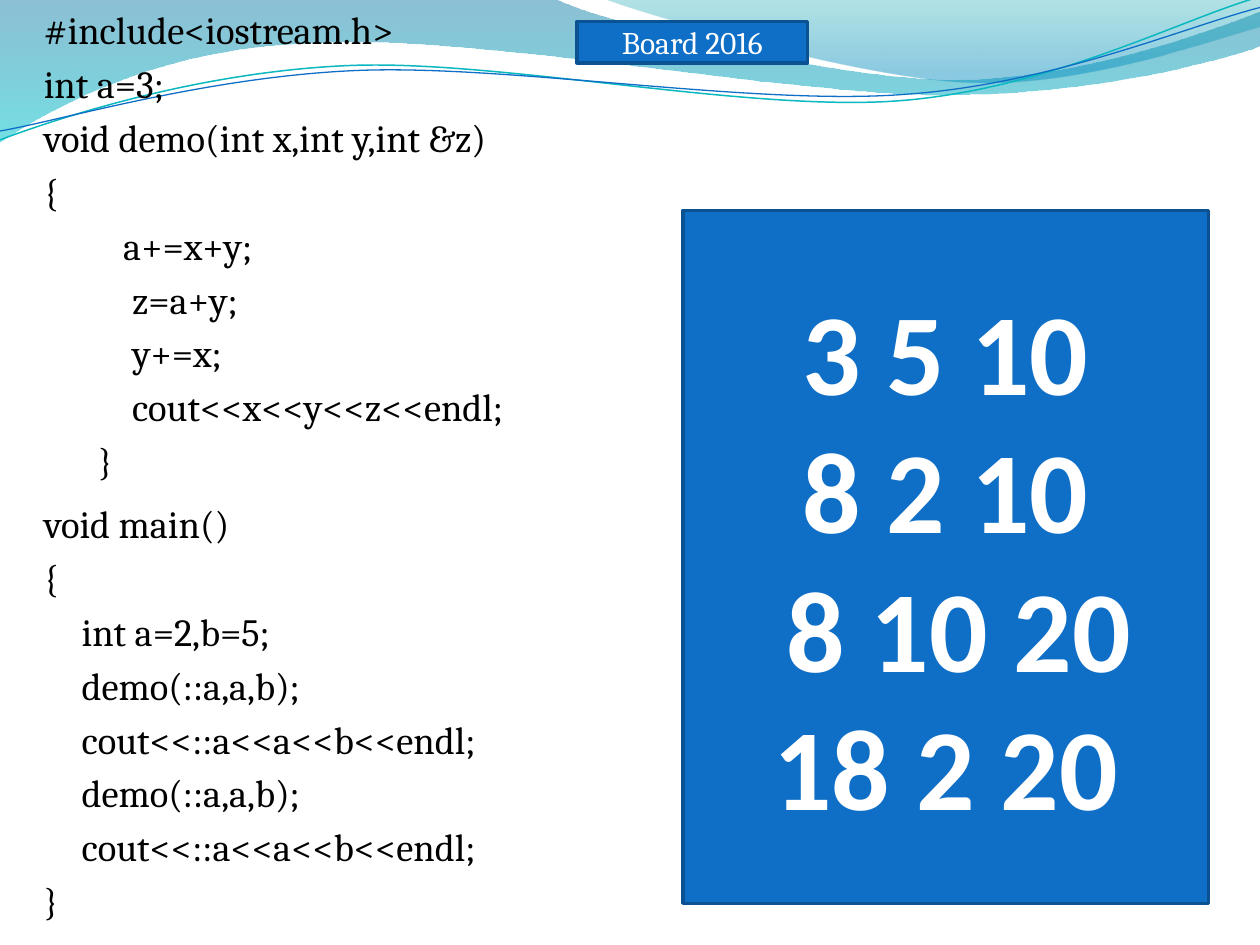
import math
from dataclasses import dataclass

from lxml import etree
from pptx import Presentation
from pptx.dml.color import RGBColor
from pptx.enum.shapes import MSO_SHAPE
from pptx.enum.text import MSO_ANCHOR, PP_ALIGN
from pptx.oxml.ns import qn
from pptx.util import Inches, Pt

RECTANGLE = MSO_SHAPE.RECTANGLE
MIDDLE = MSO_ANCHOR.MIDDLE
CENTER = PP_ALIGN.CENTER


@dataclass(frozen=True)
class Theme:
    code_font: str = "Cambria"
    answer_font: str = "Calibri"
    code_size: float = 22
    tag_size: float = 18
    answer_size: float = 66
    code_spacing: float = 4.4
    border_width: float = 2
    ink: str = "000000"
    white: str = "FFFFFF"
    blue: str = "0F6FC6"
    dark_blue: str = "0B5292"
    teal: str = "0AB8BF"
    # Gradient stops: position, colour, opacity in percent
    wide_wave: tuple = ((0, "0074A1", 45), (1, "00C6CF", 55))
    right_wave: tuple = ((0, "00A1A9", 30), (0.8, "008BBF", 45))


THEME = Theme()

# Each outline is a start point, then line ends (x, y) or cubic curves (six numbers).
WIDE_WAVE = [
    (0, 0), (4.4, -0.01),
    (4.76, 0.17, 6.64, 0.63, 7.58, 0.63), (8.53, 0.63, 9.58, 0.26, 10, 0.09),
    (10.01, 0.36),
    (9.83, 0.44, 8.7, 0.76, 7.46, 0.75), (6.22, 0.75, 3.82, 0.28, 2.57, 0.34),
    (1.29, 0.36, 0.46, 0.83, -0.01, 1.13), (0, 0),
]
RIGHT_WAVE = [
    (4.79, -0.01),
    (5.09, 0.11, 6.82, 0.62, 7.69, 0.65), (8.56, 0.69, 9.61, 0.32, 10, 0.21),
    (10, 0), (4.79, -0.01),
]
TEAL_STROKE = [
    (0, 1.11), (0.48, 0.93, 1.58, 0.57, 2.77, 0.52),
    (3.95, 0.47, 5.93, 0.89, 7.13, 0.8), (8.33, 0.71, 9.38, 0.15, 9.98, -0.02),
]
BLUE_STROKE = [
    (0, 1.04), (0.47, 0.96, 1.64, 0.61, 2.83, 0.56),
    (4.03, 0.51, 5.97, 0.84, 7.17, 0.75), (8.36, 0.67, 9.41, 0.21, 10, 0.06),
]
STROKE_ROTATION = 357.3

# Indents of a code line: level, left margin and first-line offset in inches
OUTER = (0, 0.3, -0.3)
INNER = (1, 0.7, -0.27)
FIRST_INNER = (1, 0.7, -0.07)

DEMO_CODE = [
    ("#include<iostream.h>", OUTER), ("int a=3;", OUTER),
    ("void demo(int x,int y,int &z)", OUTER), ("{", OUTER),
    ("a+=x+y;", FIRST_INNER), ("\tz=a+y;", INNER), ("\ty+=x;", INNER),
    ("\tcout<<x<<y<<z<<endl;", INNER), ("}", INNER),
]
MAIN_CODE = [
    ("void main()", OUTER), ("{", OUTER), ("\tint a=2,b=5;", OUTER),
    *[("\tdemo(::a,a,b);", OUTER), ("\tcout<<::a<<a<<b<<endl;", OUTER)] * 2,
    ("}", OUTER),
]
ANSWERS = ["3 5 10", "8 2 10", " 8 10 20", "18 2 20"]


def color(value):
    return RGBColor.from_string(value)


def turn(point, center, degrees):
    angle = math.radians(degrees)
    x, y = point[0] - center[0], point[1] - center[1]
    return (center[0] + x * math.cos(angle) - y * math.sin(angle),
            center[1] + x * math.sin(angle) + y * math.cos(angle))


def add_outline(slide, outline, rotation=0, center=(0, 0)):
    """Draw an outline; a rotated shape stores its points turned back about center."""
    points = [turn(segment[i:i + 2], center, -rotation)
              for segment in outline for i in range(0, len(segment), 2)]
    start, *rest = [(Inches(x), Inches(y)) for x, y in points]
    builder = slide.shapes.build_freeform(*start)
    builder.add_line_segments(rest, close=outline[0] == outline[-1])
    shape = builder.convert_to_shape()
    shape.shadow.inherit = False
    shape.rotation = rotation
    join_curves(shape, outline)
    return shape


def join_curves(shape, outline):
    """Merge the three points of every cubic segment into one Bézier curve."""
    lines = iter(list(shape.element.spPr.iter(qn("a:lnTo"))))
    for segment in outline[1:]:
        line = next(lines)
        if len(segment) == 6:
            line.addprevious(curve := etree.Element(qn("a:cubicBezTo")))
            for part in (line, next(lines), next(lines)):
                curve.append(part[0])
                part.getparent().remove(part)


def add_wave(slide, outline, stops):
    """Add a closed wave with a translucent gradient from top to bottom."""
    shape = add_outline(slide, outline)
    shape.line.fill.background()
    shape.fill.gradient()
    shape.fill.gradient_angle = 270
    for stop, (position, value, _) in zip(shape.fill.gradient_stops, stops):
        stop.position = position
        stop.color.rgb = color(value)
    gradient_stops = shape.element.spPr.iter(qn("a:gs"))
    for element, (_, _, opacity) in zip(gradient_stops, stops):
        etree.SubElement(element[0], qn("a:alpha"), val=str(opacity * 1000))


def add_stroke(slide, outline, center, value, width):
    shape = add_outline(slide, outline, STROKE_ROTATION, center)
    shape.fill.background()
    shape.line.color.rgb = color(value)
    shape.line.width = Pt(width)


def format_paragraph(paragraph, font, size, value, bold=False):
    for run in paragraph.runs:
        run.font.name = font
        run.font.size = Pt(size)
        run.font.bold = bold
        run.font.color.rgb = color(value)


def add_code(slide, box, lines):
    text_frame = slide.shapes.add_textbox(*map(Inches, box)).text_frame
    text_frame.word_wrap = True
    text_frame.text = "\n".join(text for text, _ in lines)
    for paragraph, (_, (level, margin, offset)) in zip(text_frame.paragraphs, lines):
        paragraph.level = level
        paragraph.space_before = Pt(THEME.code_spacing)
        properties = paragraph._p.get_or_add_pPr()
        properties.set("marL", str(Inches(margin)))
        properties.set("indent", str(Inches(offset)))
        format_paragraph(paragraph, THEME.code_font, THEME.code_size, THEME.ink)


def add_panel(slide, box, lines, font, size, bold=False):
    shape = slide.shapes.add_shape(RECTANGLE, *map(Inches, box))
    shape.shadow.inherit = False
    shape.fill.solid()
    shape.fill.fore_color.rgb = color(THEME.blue)
    shape.line.color.rgb = color(THEME.dark_blue)
    shape.line.width = Pt(THEME.border_width)
    text_frame = shape.text_frame
    text_frame.word_wrap = True
    text_frame.vertical_anchor = MIDDLE
    text_frame.text = "\n".join(lines)
    for paragraph in text_frame.paragraphs:
        paragraph.alignment = CENTER
        format_paragraph(paragraph, font, size, THEME.white, bold)


def main():
    presentation = Presentation()
    presentation.slide_width = Inches(10)
    presentation.slide_height = Inches(7.5)
    slide = presentation.slides.add_slide(presentation.slide_layouts[6])

    add_wave(slide, WIDE_WAVE, THEME.wide_wave)
    add_wave(slide, RIGHT_WAVE, THEME.right_wave)
    add_stroke(slide, TEAL_STROKE, (4.99, 0.58), THEME.teal, 0.85)
    add_stroke(slide, BLUE_STROKE, (5, 0.59), THEME.blue, 0.75)

    add_code(slide, (0.25, 0, 4.67, 6.5), DEMO_CODE)
    add_code(slide, (0.25, 3.92, 4.67, 3.67), MAIN_CODE)
    add_panel(slide, (4.58, 0.17, 1.83, 0.33), ["Board 2016"],
              THEME.code_font, THEME.tag_size)
    add_panel(slide, (5.42, 1.67, 4.17, 5.5), ANSWERS,
              THEME.answer_font, THEME.answer_size, bold=True)
    presentation.save("out.pptx")


if __name__ == "__main__":
    main()
